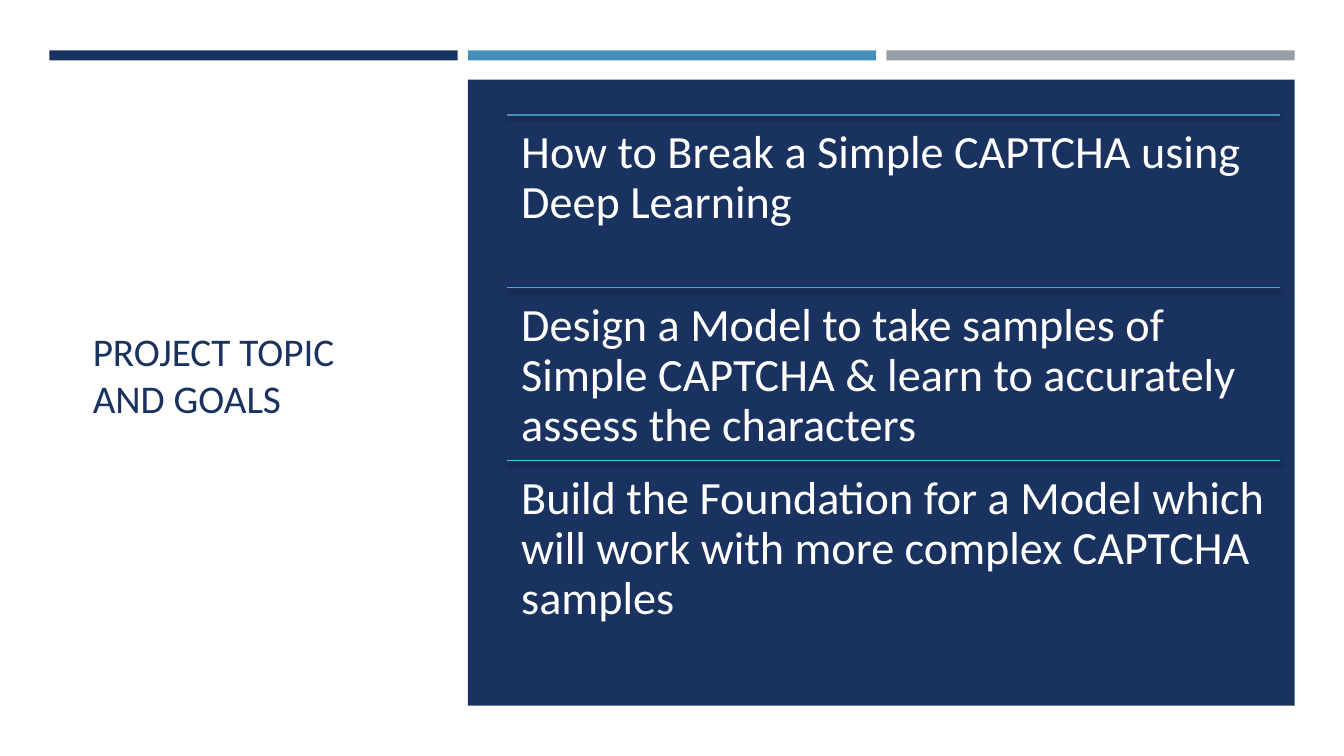
from lxml import etree
from pptx import Presentation
from pptx.dml.color import RGBColor
from pptx.enum.shapes import MSO_CONNECTOR, MSO_SHAPE
from pptx.enum.text import MSO_ANCHOR, MSO_AUTO_SIZE, PP_ALIGN
from pptx.oxml import parse_xml
from pptx.oxml.ns import qn
from pptx.util import Inches, Pt

NAVY, BLUE, GREY, WHITE = "1A3260", "4590B8", "969FA7", "FFFFFF"
SHADOW = (
    '<a:effectLst xmlns:a="http://schemas.openxmlformats.org/drawingml/2006/main">'
    '<a:outerShdw blurRad="38100" dist="25400" dir="5400000" rotWithShape="0">'
    '<a:srgbClr val="000000"><a:alpha val="55000"/></a:srgbClr>'
    '</a:outerShdw></a:effectLst>'
)


def rgb(color):
    return RGBColor.from_string(color)


class SlideBuilder:
    font = "Calibri"

    def __init__(self, prs):
        self.s = prs.slides.add_slide(prs.slide_layouts[5])
        fill = self.s.background.fill
        fill.solid()
        fill.fore_color.rgb = rgb(WHITE)

    def place(self, sp, x, y, w, h):
        sp.left, sp.top = Inches(x), Inches(y)
        sp.width, sp.height = Inches(w), Inches(h)

    def set_text(self, tf, text, size, color):
        tf.text = text
        tf.word_wrap = True
        tf.auto_size = MSO_AUTO_SIZE.NONE
        p = tf.paragraphs[0]
        p.alignment = PP_ALIGN.LEFT
        r = p.runs[0]
        r.font.name, r.font.size = self.font, Pt(size)
        r.font.color.rgb = rgb(color)
        return p

    def title(self, text, x, y, w, h):
        sp = self.s.shapes.title
        self.place(sp, x, y, w, h)
        self.set_text(sp.text_frame, text, 28, NAVY)
        sp.text_frame.vertical_anchor = MSO_ANCHOR.MIDDLE

    def block(self, x, y, w, h, color):
        sp = self.s.shapes.add_shape(
            MSO_SHAPE.RECTANGLE, Inches(x), Inches(y), Inches(w), Inches(h))
        sp.shadow.inherit = False
        sp.fill.solid()
        sp.fill.fore_color.rgb = rgb(color)
        sp.line.fill.background()

    def rule(self, x, y, w, color):
        line = self.s.shapes.add_connector(
            MSO_CONNECTOR.STRAIGHT, Inches(x), Inches(y), Inches(x + w), Inches(y))
        line.line.color.rgb = rgb(color)
        line.line.width = Pt(1)
        line._element.find(qn("p:spPr")).append(parse_xml(SHADOW))

    def goal(self, text, x, y, w, h):
        tf = self.s.shapes.add_textbox(
            Inches(x), Inches(y), Inches(w), Inches(h)).text_frame
        p = self.set_text(tf, text, 33, WHITE)
        p.line_spacing = 0.9
        tf.margin_left = tf.margin_right = Inches(0.14)
        tf.margin_top = tf.margin_bottom = Inches(0.14)
        after = etree.SubElement(p._p.get_or_add_pPr(), qn("a:spcAft"))
        etree.SubElement(after, qn("a:spcPct")).set("val", "35000")


def main():
    prs = Presentation()
    prs.slide_width, prs.slide_height = Inches(13.33), Inches(7.5)
    slide = SlideBuilder(prs)
    slide.title("PROJECT TOPIC AND GOALS", 0.82, 1.14, 3.34, 5.15)

    for i, color in enumerate((NAVY, BLUE, GREY)):
        slide.block(0.49 + 4.15 * i, 0.5, 4.05, 0.1, color)
    slide.block(4.64, 0.79, 8.2, 6.21, NAVY)

    goals = (
        ("How to Break a Simple CAPTCHA using Deep Learning", BLUE),
        ("Design a Model to take samples of Simple CAPTCHA & learn to "
         "accurately assess the characters", "43ADD2"),
        ("Build the Foundation for a Model which will work with more "
         "complex CAPTCHA samples", "45CBE8"),
    )
    left, top, width, height = 5.03, 1.14, 7.67, 5.14
    step = height / len(goals)
    for i, (text, color) in enumerate(goals):
        y = top + step * i
        slide.rule(left, y, width, color)
        slide.goal(text, left, y, width, step)

    prs.save("out.pptx")


if __name__ == "__main__":
    main()
